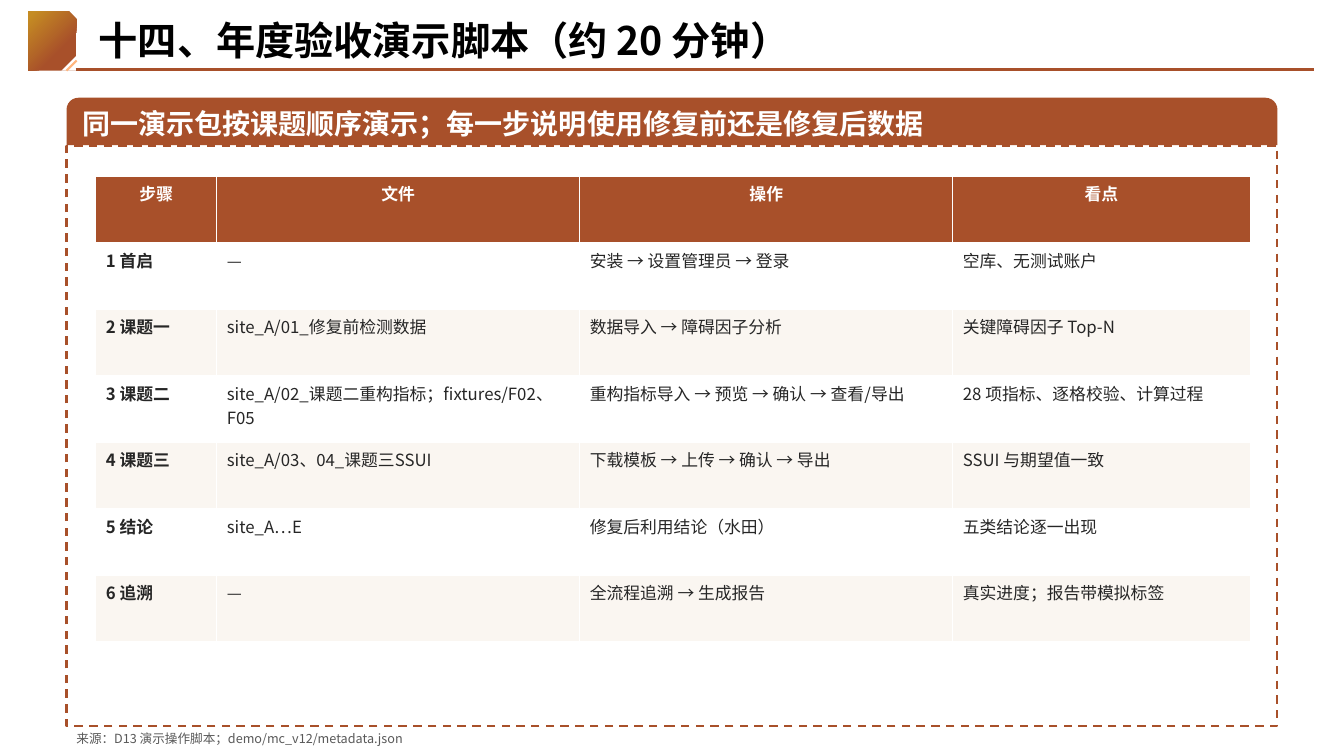
from lxml import etree
from pptx import Presentation
from pptx.dml.color import RGBColor
from pptx.enum.dml import MSO_LINE
from pptx.enum.shapes import MSO_CONNECTOR, MSO_SHAPE
from pptx.enum.text import MSO_ANCHOR, PP_ALIGN
from pptx.oxml.ns import qn
from pptx.util import Inches, Pt

LEFT, CENTER = PP_ALIGN.LEFT, PP_ALIGN.CENTER
TOP, MIDDLE = MSO_ANCHOR.TOP, MSO_ANCHOR.MIDDLE
RECT, SNIPPED = MSO_SHAPE.RECTANGLE, MSO_SHAPE.SNIP_1_RECTANGLE
TRIANGLE, ROUND_TOP = MSO_SHAPE.RIGHT_TRIANGLE, MSO_SHAPE.ROUND_2_SAME_RECTANGLE
STRAIGHT, DASH = MSO_CONNECTOR.STRAIGHT, MSO_LINE.DASH

FONT = "Noto Sans CJK SC"
COLORS = {
    "rust": "A8502A", "gold": "C58C23", "peach": "FFB57D", "white": "FFFFFF",
    "cream": "FAF6F1", "black": "000000", "ink": "262626", "grey": "595959",
}

COLUMN_WIDTHS = [1.2, 3.6, 3.7, 2.95]
ROW_HEIGHT = 0.66
STEPS = [
    ["步骤", "文件", "操作", "看点"],
    ["1 首启", "—", "安装 → 设置管理员 → 登录", "空库、无测试账户"],
    ["2 课题一", "site_A/01_修复前检测数据", "数据导入 → 障碍因子分析", "关键障碍因子 Top-N"],
    ["3 课题二", "site_A/02_课题二重构指标；fixtures/F02、F05",
     "重构指标导入 → 预览 → 确认 → 查看/导出", "28 项指标、逐格校验、计算过程"],
    ["4 课题三", "site_A/03、04_课题三SSUI", "下载模板 → 上传 → 确认 → 导出", "SSUI 与期望值一致"],
    ["5 结论", "site_A…E", "修复后利用结论（水田）", "五类结论逐一出现"],
    ["6 追溯", "—", "全流程追溯 → 生成报告", "真实进度；报告带模拟标签"],
]


def color(name):
    return RGBColor.from_string(COLORS[name])


class SlideBuilder:
    def __init__(self, page):
        self.page = page

    def add_span(self, frame, text, size, ink, bold=False, align=LEFT):
        para = frame.paragraphs[0]
        para.alignment = align
        span = para.add_run()
        span.text = text
        span.font.size = Pt(size)
        span.font.bold = bold
        span.font.name = FONT
        span.font.color.rgb = color(ink)
        east_asian = etree.SubElement(span.font._element, qn("a:ea"))
        east_asian.set("typeface", FONT)

    def title(self, at, text):
        box = self.page.shapes.title
        box.left, box.top, box.width, box.height = map(Inches, at)
        box.text_frame.word_wrap = True
        box.text_frame.vertical_anchor = MIDDLE
        self.add_span(box.text_frame, text, 28, "black", bold=True)

    def text(self, at, text, size, ink):
        box = self.page.shapes.add_textbox(*map(Inches, at))
        box.text_frame.word_wrap = True
        self.add_span(box.text_frame, text, size, ink)

    def shape(self, kind, at, fill=None):
        shape = self.page.shapes.add_shape(kind, *map(Inches, at))
        shape.shadow.inherit = False
        shape.line.fill.background()
        if fill:
            shape.fill.solid()
            shape.fill.fore_color.rgb = color(fill)
        else:
            shape.fill.background()
        return shape

    def gradient(self, shape, stops, angle):
        shape.fill.gradient()
        shape.fill.gradient_angle = angle
        for stop, (position, name) in zip(shape.fill.gradient_stops, stops):
            stop.position = position
            stop.color.rgb = color(name)

    def stroke(self, item, name, dash=None):
        item.line.color.rgb = color(name)
        item.line.width = Pt(1.5)
        if dash:
            item.line.dash_style = dash

    def line(self, ends, name):
        line = self.page.shapes.add_connector(STRAIGHT, *map(Inches, ends))
        self.stroke(line, name)
        etree.SubElement(line._element.spPr, qn("a:effectLst"))

    def cell_borders(self, cell, name):
        properties = cell._tc.get_or_add_tcPr()
        for side in ("lnL", "lnR", "lnT", "lnB"):
            edge = etree.SubElement(properties, qn("a:" + side), w=str(Pt(1)))
            fill = etree.SubElement(edge, qn("a:solidFill"))
            etree.SubElement(fill, qn("a:srgbClr"), val=COLORS[name])

    def table(self, left, top, widths, row_height, rows):
        size = (sum(widths), row_height * len(rows))
        table = self.page.shapes.add_table(
            len(rows), len(widths), *map(Inches, (left, top, *size))).table
        for column, width in zip(table.columns, widths):
            column.width = Inches(width)
        for r, row in enumerate(rows):
            table.rows[r].height = Inches(row_height)
            header = r == 0
            fill = "rust" if header else "white" if r % 2 else "cream"
            for c, text in enumerate(row):
                cell = table.cell(r, c)
                self.cell_borders(cell, "white")
                cell.fill.solid()
                cell.fill.fore_color.rgb = color(fill)
                cell.vertical_anchor = TOP
                self.add_span(cell.text_frame, text, 12, "white" if header else "ink",
                              bold=header or c == 0, align=CENTER if header else LEFT)


def main():
    deck = Presentation()
    deck.slide_width, deck.slide_height = Inches(13.33), Inches(7.5)
    builder = SlideBuilder(deck.slides.add_slide(deck.slide_layouts[5]))

    # Corner ornament and title rule
    ornament = builder.shape(SNIPPED, (0.28, 0.11, 0.48, 0.59))
    builder.gradient(ornament, [(0.33, "rust"), (0.94, "gold")], 135)
    builder.shape(TRIANGLE, (0.61, 0.55, 0.15, 0.15), "white").rotation = 270
    builder.line((0.66, 0.7, 0.76, 0.6), "peach")
    builder.line((0.75, 0.69, 13.03, 0.69), "rust")
    builder.title((0.88, 0.09, 12.05, 0.6), "十四、年度验收演示脚本（约 20 分钟）")

    # Dashed panel with its heading bar
    panel = builder.shape(RECT, (0.66, 1.45, 12.01, 5.75))
    builder.stroke(panel, "rust", DASH)
    heading = builder.shape(ROUND_TOP, (0.66, 0.97, 12.01, 0.47), "rust")
    heading.adjustments[0] = 0.25
    frame = heading.text_frame
    frame.word_wrap = True
    frame.vertical_anchor = MIDDLE
    frame.margin_left = frame.margin_right = Inches(0.12)
    frame.margin_top = frame.margin_bottom = Inches(0.12)
    builder.add_span(frame, "同一演示包按课题顺序演示；每一步说明使用修复前还是修复后数据",
                     20, "white", bold=True)

    # Demonstration steps and source
    builder.table(0.95, 1.75, COLUMN_WIDTHS, ROW_HEIGHT, STEPS)
    builder.text((0.66, 7.2, 12, 0.28),
                 "来源：D13 演示操作脚本；demo/mc_v12/metadata.json", 9, "grey")

    deck.save("out.pptx")


if __name__ == "__main__":
    main()
